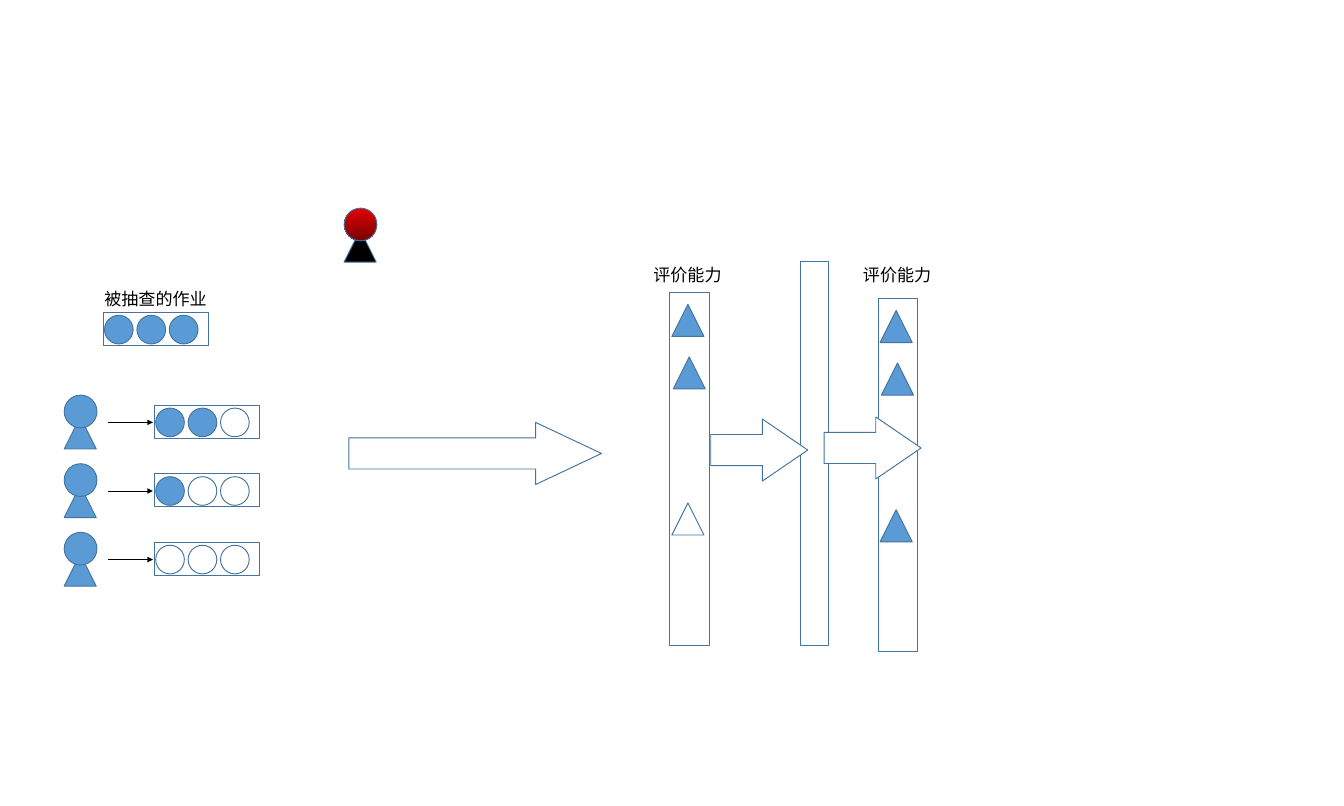
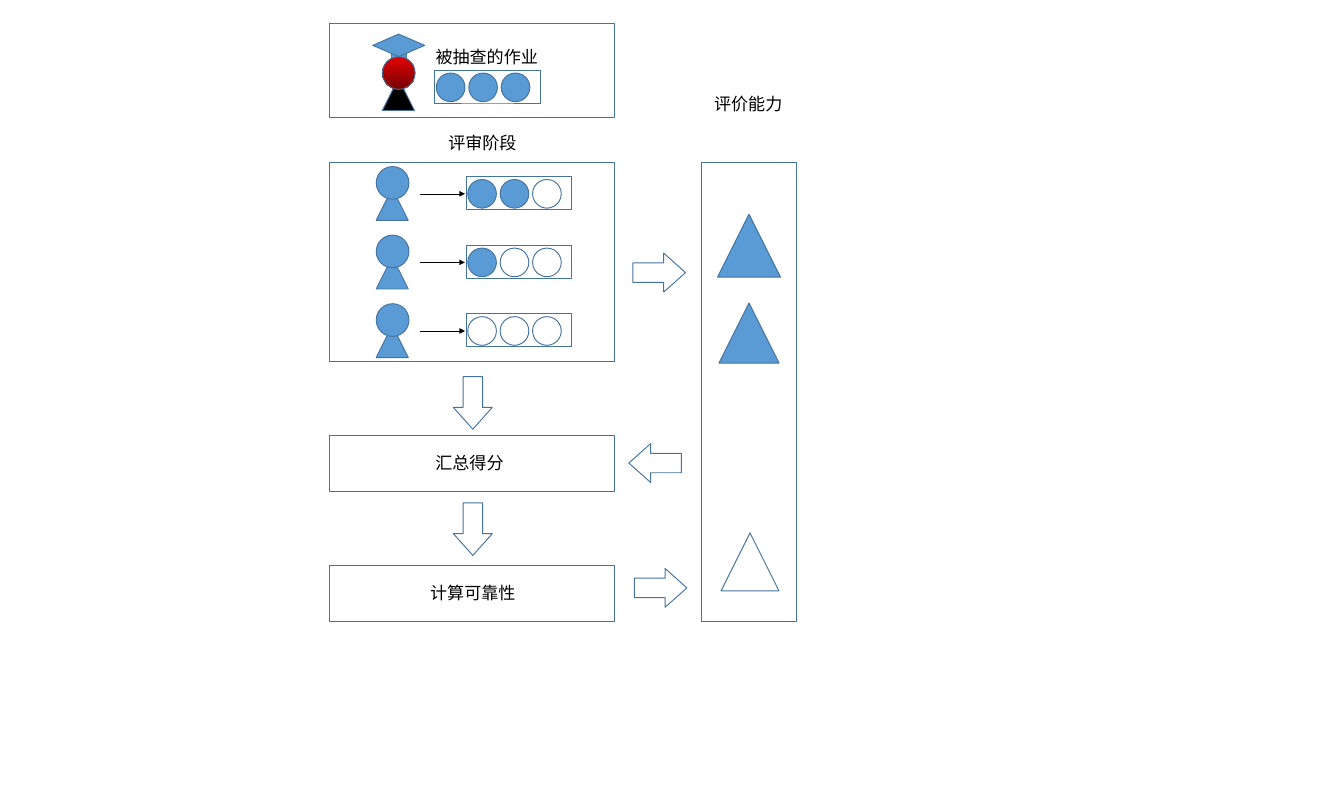
"""Build two slides on how sampled homework checks the skill of reviewers."""
from lxml import etree
from pptx import Presentation
from pptx.dml.color import RGBColor
from pptx.enum.shapes import MSO_CONNECTOR, MSO_SHAPE
from pptx.enum.text import PP_ALIGN
from pptx.oxml.ns import qn
from pptx.util import Inches, Pt

RECT = MSO_SHAPE.RECTANGLE
OVAL = MSO_SHAPE.OVAL
PEAK = MSO_SHAPE.ISOSCELES_TRIANGLE
ARROW = MSO_SHAPE.RIGHT_ARROW
GEM = MSO_SHAPE.DIAMOND
LINE = MSO_CONNECTOR.STRAIGHT
LEFT, MID = PP_ALIGN.LEFT, PP_ALIGN.CENTER

BLUE, EDGE, WHITE, BLACK = "5B9BD5", "43739E", "FFFFFF", "000000"
REDS = ("E30000", "760303")
FONT = {"name": "Calibri", "size": Pt(18)}
STEP = 2.01 / 2
PITCH = 0.95 / 2
SCORES = (2, 1, 0)

PAGES = [
    {
        "bars": [(11.73, 3.83, 0.4, 5.63), (9.81, 4.29, 0.58, 5.17),
                 (12.86, 4.38, 0.58, 5.17)],
        "hat": [],
        "team": (0.94, 5.79),
        "judge": (5.04, 3.05),
        "sample": (1.51, 4.58),
        "peaks": [(9.84, 4.46, 0.47, BLUE), (9.86, 5.23, 0.47, BLUE),
                  (9.84, 7.37, 0.47, WHITE), (12.89, 4.55, 0.47, BLUE),
                  (12.91, 5.32, 0.47, BLUE), (12.89, 7.47, 0.47, BLUE)],
        "arrows": [(5.11, 6.19, 3.7, 0.91, 0, 1.06),
                   (10.41, 6.14, 1.42, 0.91, 0, 0.73),
                   (12.07, 6.11, 1.42, 0.91, 0, 0.73)],
        "texts": [("被抽查的作业", 1.43, 4.18, 1.88, LEFT),
                  ("评价能力", 9.47, 3.82, 1.88, LEFT),
                  ("评价能力", 12.54, 3.83, 1.88, LEFT)],
    },
    {
        "bars": [(4.83, 0.35, 4.17, 1.37), (4.83, 2.38, 4.17, 2.92),
                 (4.83, 6.38, 4.17, 0.82), (4.83, 8.29, 4.17, 0.82),
                 (10.28, 2.38, 1.38, 6.72)],
        "hat": [(RECT, (5.73, 0.76, 0.22, 0.16)),
                (GEM, (5.46, 0.5, 0.76, 0.33))],
        "team": (5.51, 2.44),
        "judge": (5.6, 0.83),
        "sample": (6.37, 1.03),
        "peaks": [(10.51, 3.14, 0.92, BLUE), (10.53, 4.44, 0.88, BLUE),
                  (10.56, 7.81, 0.85, WHITE)],
        "arrows": [(x, y, 0.77, 0.57, turn, 0.56) for x, y, turn in (
            (6.54, 5.62, 90), (6.54, 7.47, 90), (9.27, 3.71, 0),
            (9.29, 8.33, 0), (9.21, 6.5, 180))],
        "texts": [("被抽查的作业", 6.28, 0.63, 1.88, LEFT),
                  ("评价能力", 10.36, 1.32, 1.88, LEFT),
                  ("汇总得分", 5.1, 6.58, 3.55, MID),
                  ("计算可靠性", 5.15, 8.49, 3.55, MID),
                  ("评审阶段", 5.29, 1.89, 3.55, MID)],
    },
]


def paint(code):
    return RGBColor.from_string(code)


def draw(shapes, kind, box, fill=None):
    shape = shapes.add_shape(kind, *map(Inches, box))
    shape.shadow.inherit = False
    shape.line.color.rgb = paint(EDGE)
    shape.line.width = Pt(1)
    if fill is None:
        shape.fill.background()
    elif fill == REDS:
        shape.fill.gradient()
        shape.fill.gradient_angle = 270
        for stop, spot, code in zip(shape.fill.gradient_stops, (0, 1), fill):
            stop.position = spot
            stop.color.rgb = paint(code)
    else:
        shape.fill.solid()
        shape.fill.fore_color.rgb = paint(fill)
    return shape


deck = Presentation()
deck.slide_width = Pt(1417.25)
deck.slide_height = Pt(850.38)

for page in PAGES:
    slide = deck.slides.add_slide(deck.slide_layouts[6])
    shapes = slide.shapes

    for box in page["bars"]:
        draw(shapes, RECT, box)
    for kind, box in page["hat"]:
        draw(shapes, kind, box, BLUE)

    x, y = page["team"]
    people = [(*page["judge"], REDS, BLACK)]
    strips = [(*page["sample"], 3)]
    for row, score in enumerate(SCORES):
        top = y + row * STEP
        people.append((x, top, BLUE, BLUE))
        strips.append((x + 1.32, top + 0.15, score))
        link = shapes.add_connector(
            LINE, *map(Inches, (x + 0.64, top + 0.4, x + 1.3, top + 0.4)))
        link.line.color.rgb = paint(BLACK)
        link.line.width = Pt(0.5)
        etree.SubElement(link.line._get_or_add_ln(), qn("a:tailEnd"), type="triangle")
        etree.SubElement(link._element.spPr, qn("a:effectLst"))

    for x, y, head, body in people:
        group = shapes.add_group_shape().shapes
        draw(group, PEAK, (x, y + 0.32, 0.47, 0.47), body)
        draw(group, OVAL, (x, y, 0.48, 0.48), head)

    for x, y, score in strips:
        group = shapes.add_group_shape().shapes
        draw(group, RECT, (x, y, 1.54, 0.48))
        for dot in range(3):
            draw(group, OVAL, (x + 0.02 + dot * PITCH, y + 0.04, 0.42, 0.42),
                 BLUE if dot < score else WHITE)

    for x, y, size, fill in page["peaks"]:
        draw(shapes, PEAK, (x, y, size, size), fill)

    for *box, turn, tip in page["arrows"]:
        arrow = draw(shapes, ARROW, box, WHITE)
        arrow.rotation = turn
        arrow.adjustments[1] = tip

    for words, x, y, wide, align in page["texts"]:
        frame = shapes.add_textbox(*map(Inches, (x, y, wide, 0.4))).text_frame
        frame.word_wrap = True
        par = frame.paragraphs[0]
        par.alignment = align
        run = par.add_run()
        run.text = words
        run.font.color.rgb = paint(BLACK)
        for key, value in FONT.items():
            setattr(run.font, key, value)

deck.save("out.pptx")
